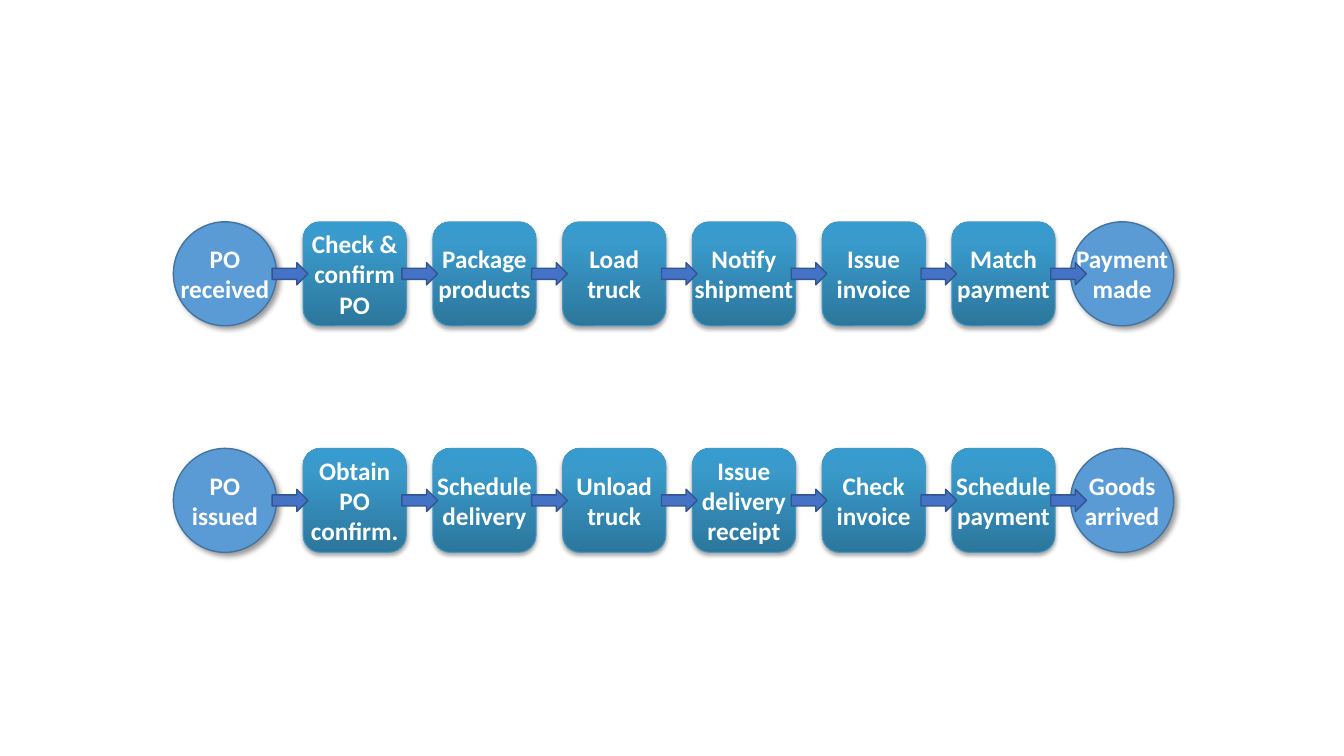
import copy

import pptx
import pptx.dml.color
import pptx.enum.shapes
import pptx.enum.text
import pptx.oxml.ns
import pptx.oxml.xmlchemy
import pptx.util
from lxml import etree
from pptx.util import Cm

SHAPES = pptx.enum.shapes.MSO_SHAPE
qn = pptx.oxml.ns.qn

NODE_WIDTH, NODE_HEIGHT = 2.6, 2.62
ARROW_WIDTH, ARROW_HEIGHT = 0.9, 0.56
PITCH = 3.27
FIRST_NODE_LEFT, LAST_NODE_LEFT = 4.37, 26.98
FIRST_ARROW_LEFT = 6.86
GRADIENT = [(0, "2C769C"), (0.8, "399ACB"), (1, "369BCF")]

# Top of each row in cm, then its events and activities from left to right
FLOWS = [
    (5.59, ["PO\nreceived", "Check &\nconfirm\nPO", "Package\nproducts", "Load\ntruck",
            "Notify\nshipment", "Issue\ninvoice", "Match\npayment", "Payment\nmade"]),
    (11.3, ["PO\nissued", "Obtain\nPO\nconfirm.", "Schedule\ndelivery", "Unload\ntruck",
            "Issue\ndelivery\nreceipt", "Check\ninvoice", "Schedule\npayment", "Goods\narrived"]),
]


def color(hex_code):
    return pptx.dml.color.RGBColor.from_string(hex_code)


def add_node(kind, left, top, width, height, text="", fill="4472C4", line="325491",
             line_width=1, shadow=None):
    """Add a shape; fill is a hex string or gradient stops, shadow is
    (opacity %, blur pt, distance pt, direction in degrees)."""
    node = page.shapes.add_shape(kind, Cm(left), Cm(top), Cm(width), Cm(height))
    node.shadow.inherit = False
    properties = node._element.spPr
    if isinstance(fill, str):
        node.fill.solid()
        node.fill.fore_color.rgb = color(fill)
    else:
        node.fill.gradient()
        node.fill.gradient_angle = 90
        stop_list = properties.find(".//" + qn("a:gsLst"))
        stop_list.append(copy.deepcopy(stop_list[-1]))
        for stop, (position, hex_code) in zip(node.fill.gradient_stops, fill):
            stop.position = position
            stop.color.rgb = color(hex_code)
    node.line.color.rgb = color(line)
    node.line.width = pptx.util.Pt(line_width)
    if shadow:
        opacity, blur, distance, direction = shadow
        outer = etree.SubElement(
            properties.find(qn("a:effectLst")), qn("a:outerShdw"),
            blurRad=str(pptx.util.Pt(blur)), dist=str(pptx.util.Pt(distance)),
            dir=str(direction * 60000), rotWithShape="0")
        tone = etree.SubElement(outer, qn("a:srgbClr"), val="000000")
        etree.SubElement(tone, qn("a:alpha"), val=str(opacity * 1000))
    if text:
        frame = node.text_frame
        frame.word_wrap = False
        frame.vertical_anchor = pptx.enum.text.MSO_ANCHOR.MIDDLE
        frame.text = text
        for para in frame.paragraphs:
            para.alignment = pptx.enum.text.PP_ALIGN.CENTER
            para.font.name = "Calibri"
            para.font.size = pptx.util.Pt(18)
            para.font.bold = True
            para.font.color.rgb = color("FFFFFF")


deck = pptx.Presentation()
deck.slide_width, deck.slide_height = Cm(33.87), Cm(19.05)
page = deck.slides.add_slide(deck.slide_layouts[6])

for top, labels in FLOWS:
    last = len(labels) - 1
    for index, label in enumerate(labels):
        left = LAST_NODE_LEFT if index == last else FIRST_NODE_LEFT + index * PITCH
        if index in (0, last):
            add_node(SHAPES.OVAL, left, top, NODE_WIDTH, NODE_HEIGHT, label,
                     fill="5B9BD5", line="43739E", shadow=(40, 4, 3, 45))
        else:
            add_node(SHAPES.ROUNDED_RECTANGLE, left, top, NODE_WIDTH, NODE_HEIGHT, label,
                     fill=GRADIENT, line="4797BF", line_width=0.75,
                     shadow=(35, 3.1, 1.8, 90))
    for index in range(last):
        add_node(SHAPES.RIGHT_ARROW, FIRST_ARROW_LEFT + index * PITCH,
                 top + (NODE_HEIGHT - ARROW_HEIGHT) / 2, ARROW_WIDTH, ARROW_HEIGHT)

deck.save("out.pptx")
